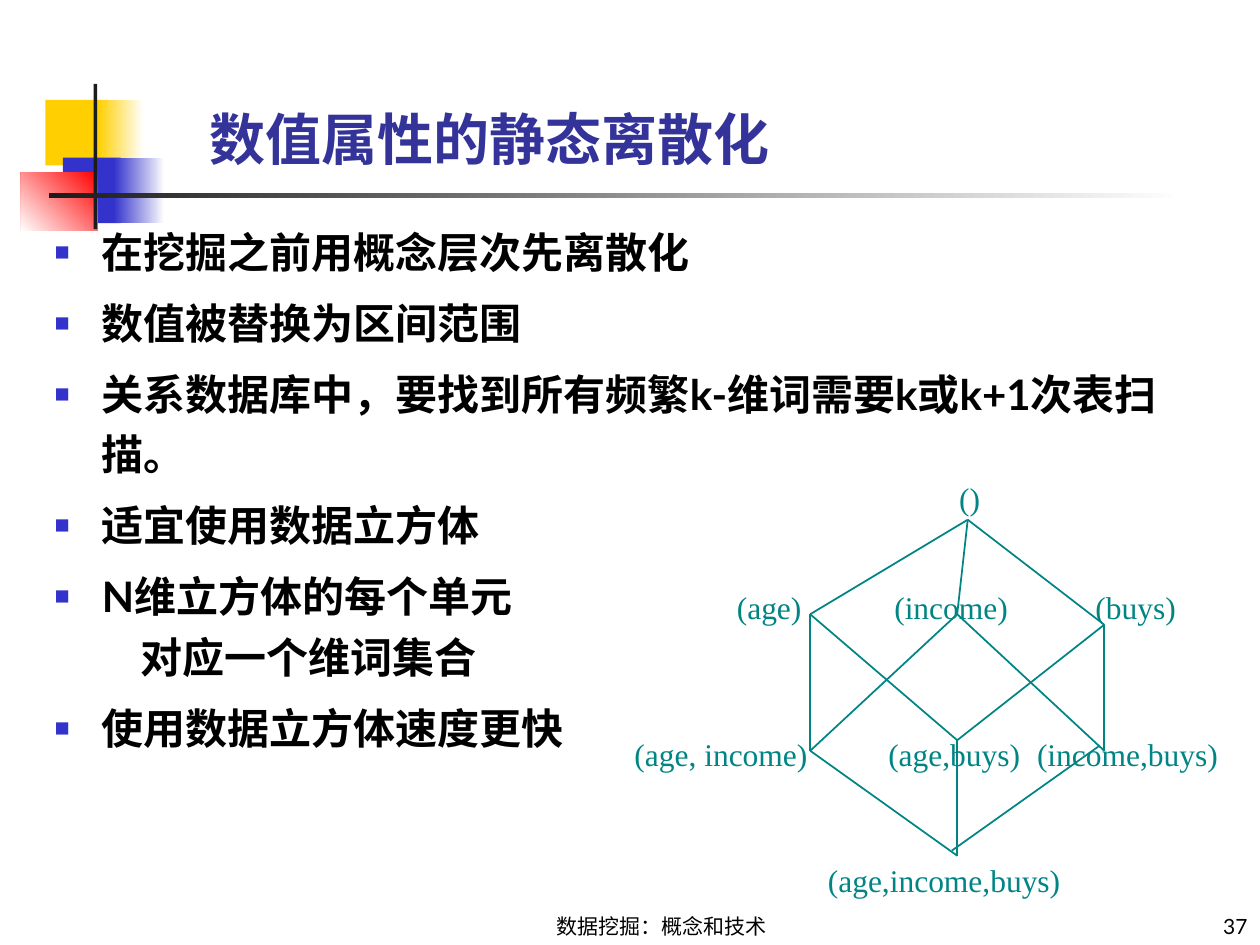
import pptx
import pptx.util
import pptx.dml.color
import pptx.enum.shapes
import pptx.enum.text
import lxml.etree

Pt = pptx.util.Pt
RGBColor = pptx.dml.color.RGBColor
ALIGN = pptx.enum.text.PP_ALIGN
ANCHOR = pptx.enum.text.MSO_ANCHOR
AUTO_SIZE = pptx.enum.text.MSO_AUTO_SIZE
SHAPE = pptx.enum.shapes.MSO_SHAPE
CONNECTOR = pptx.enum.shapes.MSO_CONNECTOR

WHITE = RGBColor(0xFF, 0xFF, 0xFF)
BLACK = RGBColor(0x00, 0x00, 0x00)
YELLOW = RGBColor(0xFF, 0xCF, 0x01)
BLUE = RGBColor(0x33, 0x33, 0xCC)
NAVY = RGBColor(0x33, 0x33, 0x99)
RED = RGBColor(0xFF, 0x00, 0x00)
CHARCOAL = RGBColor(0x1C, 0x1C, 0x1C)
TEAL = RGBColor(0x00, 0x84, 0x84)

# left, top, width, height, colour, angle of the fade to white (None = solid)
ORNAMENT = [
    (26, 57, 35, 37.5, YELLOW, None),
    (56, 57, 26, 37.5, YELLOW, 0),
    (36, 90, 33, 37.5, BLUE, None),
    (65, 90, 29, 37.5, BLUE, 0),
    (12, 98.5, 44, 33.5, RED, 225),
    (53.5, 48, 2, 83, CHARCOAL, None),
    (28, 110.5, 648, 2.5, CHARCOAL, 0),
]

# text, whether it continues the bullet above
POINTS = [
    ("在挖掘之前用概念层次先离散化", False),
    ("数值被替换为区间范围", False),
    ("关系数据库中，要找到所有频繁k-维词需要k或k+1次表扫描。", False),
    ("适宜使用数据立方体", False),
    ("N维立方体的每个单元", False),
    ("对应一个维词集合", True),
    ("使用数据立方体速度更快", False),
]

NODES = {
    "top": (553, 297),
    "age": (463, 351),
    "income": (547, 351),
    "buys": (631, 357),
    "age_income": (463, 429),
    "age_buys": (547, 423),
    "income_buys": (631, 429),
    "all": (547, 489),
}
EDGES = [
    ("top", "age"), ("top", "income"), ("top", "buys"),
    ("age", "age_income"), ("age", "age_buys"),
    ("income", "age_income"), ("income", "income_buys"),
    ("buys", "age_buys"), ("buys", "income_buys"),
    ("age_income", "all"), ("age_buys", "all"),
]
# text, right edge, top, width; each width leaves room for the text on one line
LABELS = [
    ("()", 560, 273.5, 18),
    ("(age)", 458, 336, 42),
    ("(income)", 576, 336, 72),
    ("(buys)", 672, 336, 52),
    ("(age, income)", 461.5, 420, 108),
    ("(age,buys)", 583, 420, 82),
    ("(income,buys)", 696, 420, 110),
    ("(age,income,buys)", 606, 492, 140),
]


class SlideBuilder:
    font = "Lato"
    label_font = "Times New Roman"

    def __init__(self, page):
        self.page = page

    def place(self, box, left, top, width, height):
        box.left, box.top = Pt(left), Pt(top)
        box.width, box.height = Pt(width), Pt(height)

    def style(self, para, size, color, bold=False, font=font):
        for span in para.runs:
            span.font.name = font
            span.font.size = Pt(size)
            span.font.bold = bold
            span.font.color.rgb = color

    def title(self, text):
        box = self.page.shapes.title
        self.place(box, 112.5, 30, 541, 72)
        frame = box.text_frame
        frame.text = text
        frame.auto_size = AUTO_SIZE.NONE
        frame.vertical_anchor = ANCHOR.BOTTOM
        para = frame.paragraphs[0]
        para.alignment = ALIGN.LEFT
        self.style(para, 32, NAVY, bold=True)

    def bullet(self, para, continued):
        """Give the paragraph a small square, or only its indent if continued."""
        props = para._p.get_or_add_pPr()
        props.set("marL", str(Pt(49 if continued else 27)))
        props.set("indent", str(Pt(0 if continued else -27)))

        def add(parent, tag, **attributes):
            return lxml.etree.SubElement(parent, pptx.oxml.ns.qn(tag), attributes)

        if continued:
            add(props, "a:buNone")
            return
        add(add(props, "a:buClr"), "a:srgbClr", val=str(BLUE))
        add(props, "a:buSzPct", val="60000")
        add(props, "a:buFont", typeface="Arial")
        add(props, "a:buChar", char="■")

    def body(self, points):
        box = self.page.placeholders[1]
        self.place(box, 24, 120, 666, 402)
        frame = box.text_frame
        frame.text = "\n".join(text for text, _ in points)
        frame.auto_size = AUTO_SIZE.NONE
        for index, (para, (_, continued)) in enumerate(zip(frame.paragraphs, points)):
            self.bullet(para, continued)
            para.line_spacing = 1.2
            para.space_before = Pt(0 if continued or index == 0 else 6)
            self.style(para, 24, BLACK, bold=True)

    def block(self, left, top, width, height, color, fade):
        box = self.page.shapes.add_shape(
            SHAPE.RECTANGLE, Pt(left), Pt(top), Pt(width), Pt(height))
        box.shadow.inherit = False
        box.line.fill.background()
        if fade is None:
            box.fill.solid()
            box.fill.fore_color.rgb = color
            return
        box.fill.gradient()
        box.fill.gradient_angle = fade
        for stop, shade in zip(box.fill.gradient_stops, (color, WHITE)):
            stop.color.rgb = shade

    def edge(self, start, end):
        line = self.page.shapes.add_connector(
            CONNECTOR.STRAIGHT, *(Pt(length) for length in (*start, *end)))
        line.line.color.rgb = TEAL
        line.line.width = Pt(1)
        lxml.etree.SubElement(line._element.spPr, pptx.oxml.ns.qn("a:effectLst"))

    def text_box(self, text, left, top, width, height, alignment):
        box = self.page.shapes.add_textbox(Pt(left), Pt(top), Pt(width), Pt(height))
        frame = box.text_frame
        frame.text = text
        frame.word_wrap = True
        para = frame.paragraphs[0]
        para.alignment = alignment
        return frame, para

    def label(self, text, right, top, width):
        frame, para = self.text_box(text, right - width, top, width, 21.5, ALIGN.RIGHT)
        frame.margin_left = frame.margin_right = Pt(0)
        frame.margin_top = frame.margin_bottom = Pt(0)
        self.style(para, 18, TEAL, font=self.label_font)

    def footer(self, text, left, width, alignment):
        frame, para = self.text_box(text, left, 510, width, 30, alignment)
        frame.vertical_anchor = ANCHOR.BOTTOM
        self.style(para, 12, BLACK)


def main():
    deck = pptx.Presentation()
    deck.slide_width, deck.slide_height = Pt(720), Pt(540)
    builder = SlideBuilder(deck.slides.add_slide(deck.slide_layouts[1]))
    for block in ORNAMENT:
        builder.block(*block)
    builder.title("数值属性的静态离散化")
    builder.body(POINTS)
    for start, end in EDGES:
        builder.edge(NODES[start], NODES[end])
    builder.edge((544, 486), (628.5, 426))
    for label in LABELS:
        builder.label(*label)
    builder.footer("数据挖掘：概念和技术", 264, 228, ALIGN.CENTER)
    builder.footer("37", 570, 150, ALIGN.RIGHT)
    deck.save("out.pptx")


if __name__ == "__main__":
    main()
